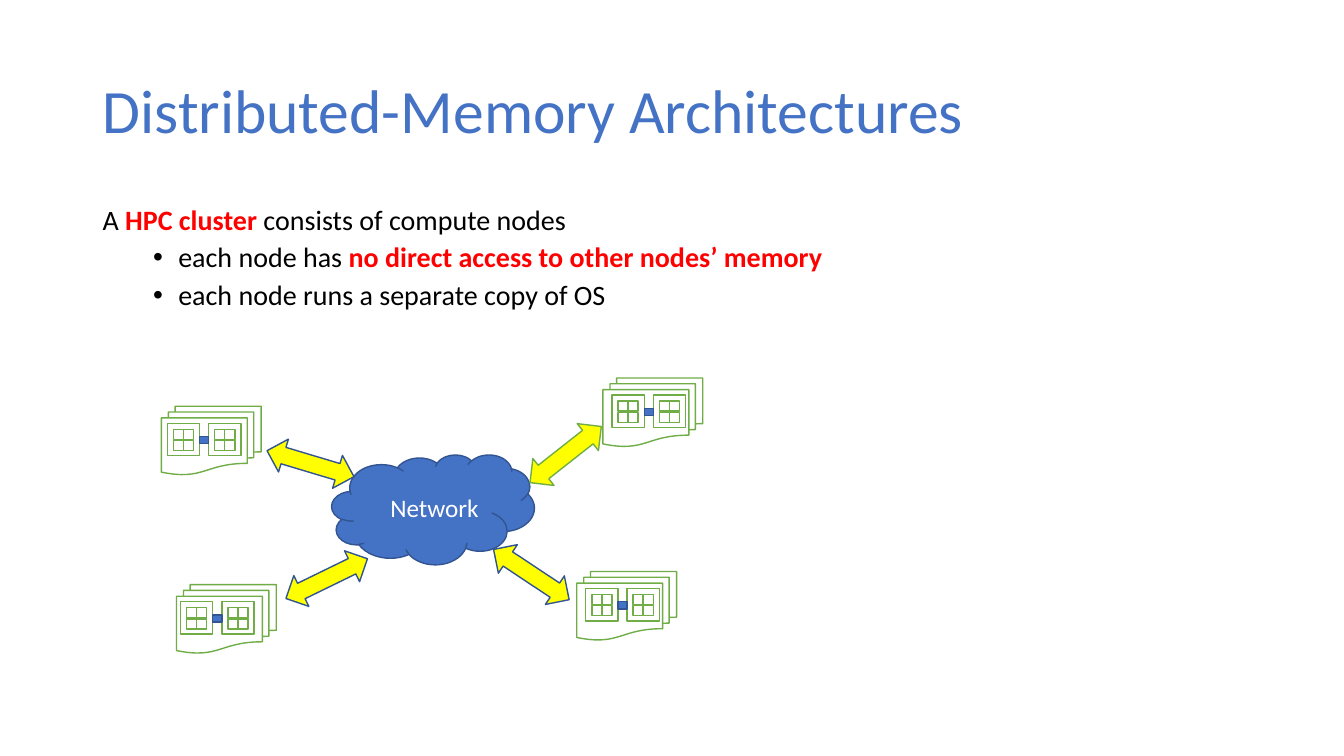
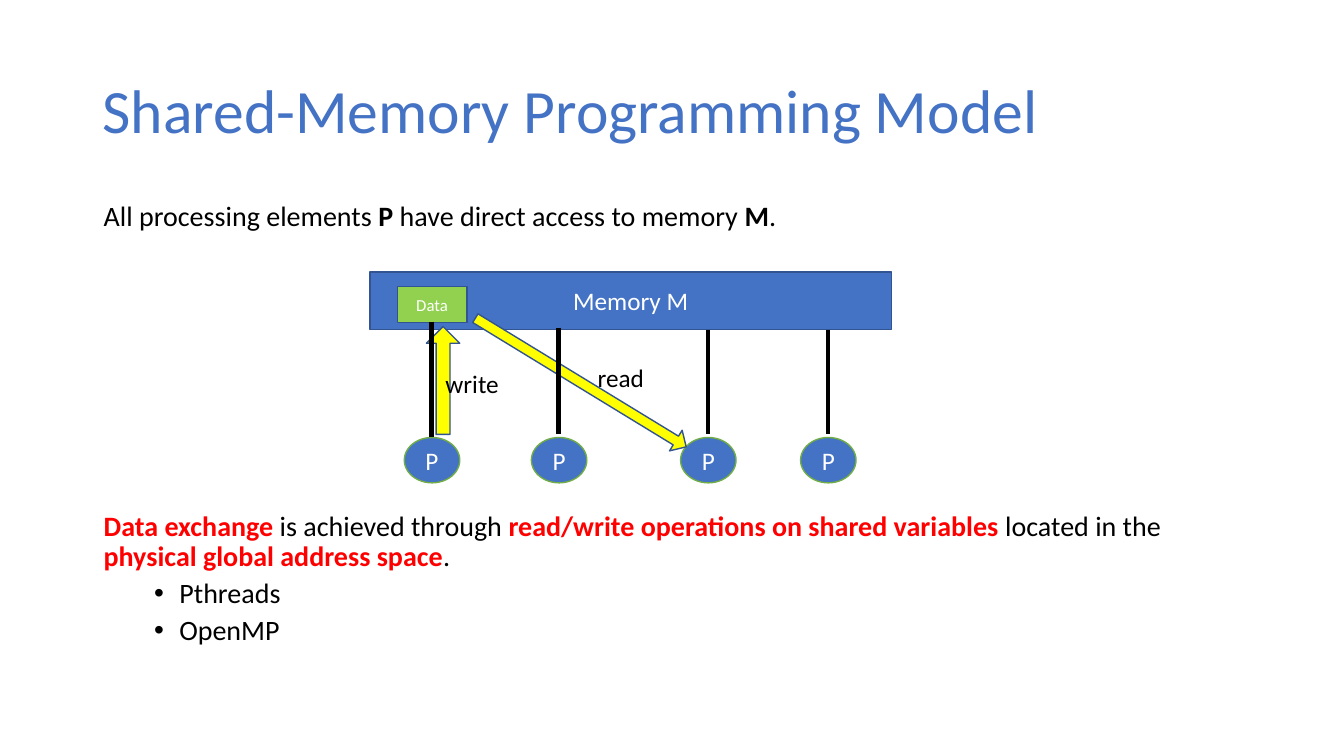
import dataclasses
import itertools

import lxml.etree
import pptx
import pptx.dml.color
import pptx.enum.shapes
import pptx.enum.text
import pptx.oxml.ns
import pptx.util

Inches = pptx.util.Inches
SHAPES = pptx.enum.shapes.MSO_SHAPE
ALIGN = pptx.enum.text.PP_ALIGN
ANCHOR = pptx.enum.text.MSO_ANCHOR


@dataclasses.dataclass(frozen=True)
class Theme:
    font: str = "Calibri"
    blue: str = "4472C4"
    navy: str = "325491"
    green: str = "70AD47"
    lime: str = "92D050"
    yellow: str = "FFFF00"
    red: str = "FF0000"
    black: str = "000000"
    white: str = "FFFFFF"
    title: int = 44
    body: int = 20
    label: int = 18
    small: int = 12
    outline: float = 1
    wire: float = 3


@dataclasses.dataclass(frozen=True)
class Box:
    left: float
    top: float
    width: float
    height: float

    def inner(self, dx, dy, width, height):
        return Box(self.left + dx, self.top + dy, width, height)

    def lengths(self):
        return [Inches(v) for v in (self.left, self.top, self.width, self.height)]


THEME = Theme()
TITLE_BOX = Box(0.92, 0.4, 11.5, 1.45)


def rgb(value):
    return pptx.dml.color.RGBColor.from_string(value)


def add_run(paragraph, text, size, color, bold=False):
    run = paragraph.add_run()
    run.text = text
    run.font.name = THEME.font
    run.font.size = pptx.util.Pt(size)
    run.font.color.rgb = rgb(color)
    run.font.bold = bold


def add_text_frame(slide, box):
    frame = slide.shapes.add_textbox(*box.lengths()).text_frame
    frame.word_wrap = True
    return frame


def add_title(slide, text):
    frame = add_text_frame(slide, TITLE_BOX)
    frame.vertical_anchor = ANCHOR.MIDDLE
    frame.paragraphs[0].line_spacing = 0.9
    add_run(frame.paragraphs[0], text, THEME.title, THEME.blue)


def make_bullet(paragraph):
    properties = paragraph._p.get_or_add_pPr()
    properties.set("marL", str(Inches(0.75)))
    properties.set("indent", str(Inches(-0.25)))
    for tag, name, value in (("a:buFont", "typeface", "Arial"), ("a:buChar", "char", "•")):
        mark = lxml.etree.SubElement(properties, pptx.oxml.ns.qn(tag))
        mark.set(name, value)


def add_body(slide, box, lead, bullets=()):
    frame = add_text_frame(slide, box)
    for index, runs in enumerate([lead, *bullets]):
        paragraph = frame.add_paragraph() if index else frame.paragraphs[0]
        paragraph.line_spacing = 0.9
        paragraph.space_before = pptx.util.Pt(5 if index else 10)
        if index:
            make_bullet(paragraph)
        for text, color, bold in runs:
            add_run(paragraph, text, THEME.body, color, bold)


def plain(text):
    return text, THEME.black, False


def strong(text):
    return text, THEME.black, True


def key(text):
    return text, THEME.red, True


def add_label(slide, box, text):
    frame = add_text_frame(slide, box)
    add_run(frame.paragraphs[0], text, THEME.label, THEME.black)


def add_block(slide, kind, box, fill, line, text="", size=THEME.label, rotation=0):
    block = slide.shapes.add_shape(kind, *box.lengths())
    block.shadow.inherit = False
    block.fill.solid()
    block.fill.fore_color.rgb = rgb(fill)
    block.line.color.rgb = rgb(line)
    block.line.width = pptx.util.Pt(THEME.outline)
    block.rotation = rotation
    if text:
        block.text_frame.vertical_anchor = ANCHOR.MIDDLE
        paragraph = block.text_frame.paragraphs[0]
        paragraph.alignment = ALIGN.CENTER
        add_run(paragraph, text, size, THEME.white)
    return block


def add_wire(slide, x, top, bottom):
    wire = slide.shapes.add_connector(
        pptx.enum.shapes.MSO_CONNECTOR.STRAIGHT,
        Inches(x), Inches(top), Inches(x), Inches(bottom))
    wire.line.color.rgb = rgb(THEME.black)
    wire.line.width = pptx.util.Pt(THEME.wire)
    lxml.etree.SubElement(wire._element.spPr, pptx.oxml.ns.qn("a:effectLst"))


def add_socket(slide, box):
    add_block(slide, SHAPES.RECTANGLE, box, THEME.white, THEME.green)
    for column, row in itertools.product(range(2), repeat=2):
        core = box.inner(0.06 + 0.1 * column, 0.06 + 0.11 * row, 0.1, 0.1)
        add_block(slide, SHAPES.RECTANGLE, core, THEME.white, THEME.green)


def add_node(slide, box, socket_dx):
    add_block(slide, SHAPES.FLOWCHART_MULTIDOCUMENT, box, THEME.white, THEME.green)
    for index in range(2):
        add_socket(slide, box.inner(socket_dx + 0.41 * index, 0.17, 0.32, 0.32))
    bus = box.inner(socket_dx + 0.32, 0.3, 0.09, 0.07)
    add_block(slide, SHAPES.FLOWCHART_PROCESS, bus, THEME.blue, THEME.navy)


def add_cluster(slide, box):
    cloud = add_block(slide, SHAPES.CLOUD, box.inner(1.69, 0.76, 2.01, 1.09),
                      THEME.blue, THEME.navy, "Network")
    cloud.text_frame.margin_left = Inches(0.27)
    links = [
        (1.31, 0.4, 286.7, THEME.navy),
        (3.84, 0.31, 51.8, THEME.green),
        (1.47, 1.54, 244, THEME.navy),
        (3.5, 1.5, 123.6, THEME.navy),
    ]
    for dx, dy, angle, line in links:
        add_block(slide, SHAPES.UP_DOWN_ARROW, box.inner(dx, dy, 0.34, 0.9),
                  THEME.yellow, line, rotation=angle)
    nodes = [(0, 0.28, 0.06), (4.38, 0, 0.09), (0.15, 2.05, 0.04), (4.12, 1.92, 0.09)]
    for dx, dy, socket_dx in nodes:
        add_node(slide, box.inner(dx, dy, 0.99, 0.68), socket_dx)


def add_shared_memory(slide, box):
    add_block(slide, SHAPES.FLOWCHART_PROCESS, box.inner(0, 0, box.width, 0.57),
              THEME.blue, THEME.navy, "Memory M")
    add_block(slide, SHAPES.FLOWCHART_PROCESS, box.inner(0.27, 0.14, 0.69, 0.36),
              THEME.lime, THEME.navy, "Data", THEME.small)
    processors = [(0.61, 0.49, 1.64), (1.87, 0.55, 1.61), (3.35, 0.57, 1.61), (4.54, 0.57, 1.61)]
    for center, _, _ in processors:
        add_block(slide, SHAPES.FLOWCHART_CONNECTOR,
                  box.inner(center - 0.27, 1.64, 0.55, 0.45),
                  THEME.blue, THEME.green, "P")
    accesses = [
        (box.inner(0.56, 0.54, 0.33, 1.07), 0),
        (box.inner(1.97, -0.13, 0.24, 2.45), 121.4),
    ]
    for arrow_box, angle in accesses:
        arrow = add_block(slide, SHAPES.UP_ARROW, arrow_box,
                          THEME.yellow, THEME.navy, rotation=angle)
        arrow.adjustments[0] = 0.42
    for center, start, end in processors:
        add_wire(slide, box.left + center, box.top + start, box.top + end)
    add_label(slide, box.inner(0.65, 0.91, 0.86, 0.4), "write")
    add_label(slide, box.inner(2.16, 0.85, 0.86, 0.4), "read")


def build_distributed_slide(slide):
    add_title(slide, "Distributed-Memory Architectures")
    add_body(
        slide, Box(0.92, 2, 11.5, 1.3),
        [plain("A "), key("HPC cluster "), plain("consists of compute nodes")],
        [
            [plain("each node has "), key("no direct access to other nodes’ memory")],
            [plain("each node runs a separate copy of OS")],
        ])
    add_cluster(slide, Box(1.6, 3.75, 5.37, 2.73))


def build_shared_slide(slide):
    add_title(slide, "Shared-Memory Programming Model")
    add_body(
        slide, Box(0.93, 1.96, 11.5, 0.45),
        [plain("All processing elements "), strong("P"),
         plain(" have direct access to memory "), strong("M"), plain(".")])
    add_shared_memory(slide, Box(3.67, 2.7, 5.17, 2.09))
    add_body(
        slide, Box(0.93, 5.03, 11.5, 1.69),
        [key("Data exchange "), plain("is achieved through "),
         key("read/write operations on shared variables "), plain("located in the "),
         key("physical global address space"), plain(".")],
        [[plain("Pthreads")], [plain("OpenMP")]])


def main():
    deck = pptx.Presentation()
    deck.slide_width = Inches(13.33)
    deck.slide_height = Inches(7.5)
    for build in (build_distributed_slide, build_shared_slide):
        build(deck.slides.add_slide(deck.slide_layouts[6]))
    deck.save("out.pptx")


if __name__ == "__main__":
    main()
